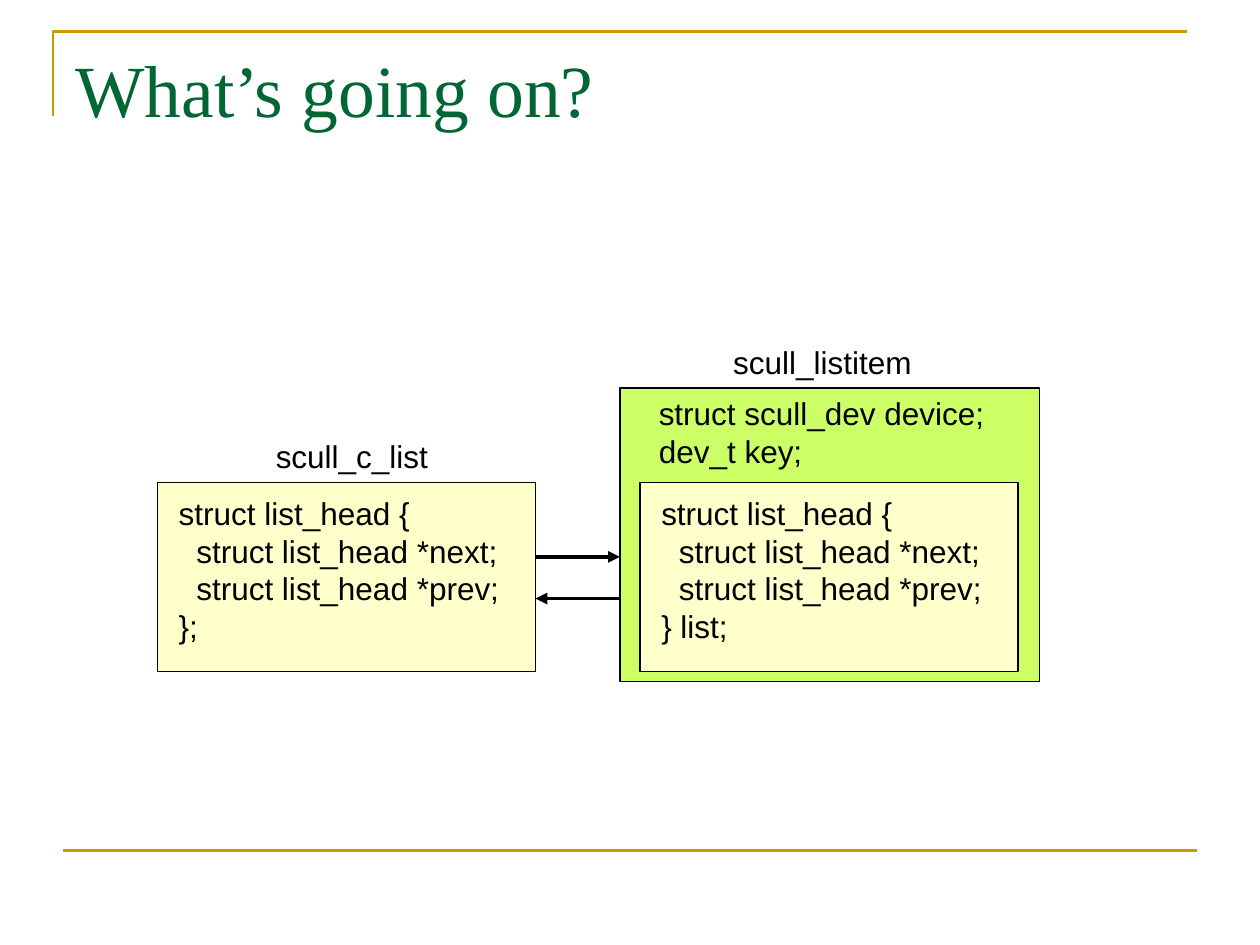
import pptx
import pptx.dml.color
import pptx.enum.shapes
import pptx.enum.text
import pptx.oxml
import pptx.oxml.ns
import pptx.util

Inches = pptx.util.Inches
COLORS = {
    "rule": "CC9900", "title": "006633", "ink": "000000",
    "item": "CCFF66", "head": "FFFFCC",
}


def rgb(name):
    return pptx.dml.color.RGBColor.from_string(COLORS[name])


class DiagramPage:
    """Draws the elements of a linked list diagram on one page."""

    body = {"name": "Arial", "size": pptx.util.Pt(18)}
    heading = {"name": "Times New Roman", "size": pptx.util.Pt(42)}
    frame = {
        "word_wrap": False,
        "auto_size": pptx.enum.text.MSO_AUTO_SIZE.NONE,
        "vertical_anchor": pptx.enum.text.MSO_ANCHOR.TOP,
        "margin_left": Inches(0.1), "margin_right": Inches(0.1),
        "margin_top": Inches(0.05), "margin_bottom": Inches(0.05),
    }
    code_indent = Inches(0.14)

    def __init__(self, page):
        self.page = page

    def apply(self, target, values):
        for name, value in values.items():
            setattr(target, name, value)

    def outline(self, shape, color, width):
        shape.line.color.rgb = rgb(color)
        shape.line.width = pptx.util.Pt(width)

    def text(self, left, top, width, height, lines, font=None, color="ink", indented=()):
        box = self.page.shapes.add_textbox(*map(Inches, (left, top, width, height)))
        self.apply(box.text_frame, self.frame)
        for index, line in enumerate(lines):
            para = box.text_frame.paragraphs[0] if index == 0 else box.text_frame.add_paragraph()
            if index in indented:
                para._p.get_or_add_pPr().set("marL", str(self.code_indent))
            span = para.add_run()
            span.text = line
            self.apply(span.font, font or self.body)
            span.font.color.rgb = rgb(color)

    def rectangle(self, left, top, width, height, fill):
        box = self.page.shapes.add_shape(
            pptx.enum.shapes.MSO_SHAPE.RECTANGLE, *map(Inches, (left, top, width, height)))
        box.shadow.inherit = False
        box.fill.solid()
        box.fill.fore_color.rgb = rgb(fill)
        self.outline(box, "ink", 0.75)

    def line(self, start, end, color, width, arrow=False):
        connector = self.page.shapes.add_connector(
            pptx.enum.shapes.MSO_CONNECTOR.STRAIGHT, *map(Inches, (*start, *end)))
        self.outline(connector, color, width)
        if arrow:
            tail = pptx.oxml.parse_xml(
                f'<a:tailEnd {pptx.oxml.ns.nsdecls("a")} type="triangle"/>')
            connector.line._get_or_add_ln().append(tail)
        connector._element.spPr.append(
            pptx.oxml.parse_xml(f'<a:effectLst {pptx.oxml.ns.nsdecls("a")}/>'))

    def corner(self, points, color, width):
        first, *others = [tuple(map(Inches, point)) for point in points]
        builder = self.page.shapes.build_freeform(*first)
        builder.add_line_segments(others, close=False)
        shape = builder.convert_to_shape()
        shape.shadow.inherit = False
        shape.fill.background()
        self.outline(shape, color, width)

    def list_head(self, left, closing):
        top = 3.83
        self.rectangle(left, top, 3, 1.5, "head")
        lines = ["struct list_head {", "struct list_head *next;",
                 "struct list_head *prev;", closing]
        self.text(left + 0.07, top + 0.04, 2.74, 1.3, lines, indented=(1, 2))


def main():
    deck = pptx.Presentation()
    deck.slide_width, deck.slide_height = Inches(10), Inches(7.5)
    diagram = DiagramPage(deck.slides.add_slide(deck.slide_layouts[6]))

    diagram.corner([(0.42, 0.92), (0.42, 0.25), (9.42, 0.25)], "rule", 1.5)
    diagram.line((0.5, 6.75), (9.5, 6.75), "rule", 1.5)
    diagram.text(0.5, 0.3, 9, 1.25, ["What’s going on?"], diagram.heading, "title")

    list_left, item_left = 1.25, 4.92
    list_right = list_left + 3
    diagram.rectangle(item_left, 3.08, 3.33, 2.33, "item")
    diagram.text(2.09, 3.42, 1.41, 0.4, ["scull_c_list"])
    diagram.list_head(list_left, "};")
    diagram.list_head(item_left + 0.16, "} list;")
    diagram.text(5.72, 2.67, 1.61, 0.4, ["scull_listitem"])
    diagram.text(5.13, 3.08, 2.78, 0.7, ["struct scull_dev device;", "dev_t key;"])

    for start, end, height in ((list_right, item_left, 4.42), (item_left, list_right, 4.75)):
        diagram.line((start, height), (end, height), "ink", 2.25, arrow=True)

    deck.save("out.pptx")


if __name__ == "__main__":
    main()
